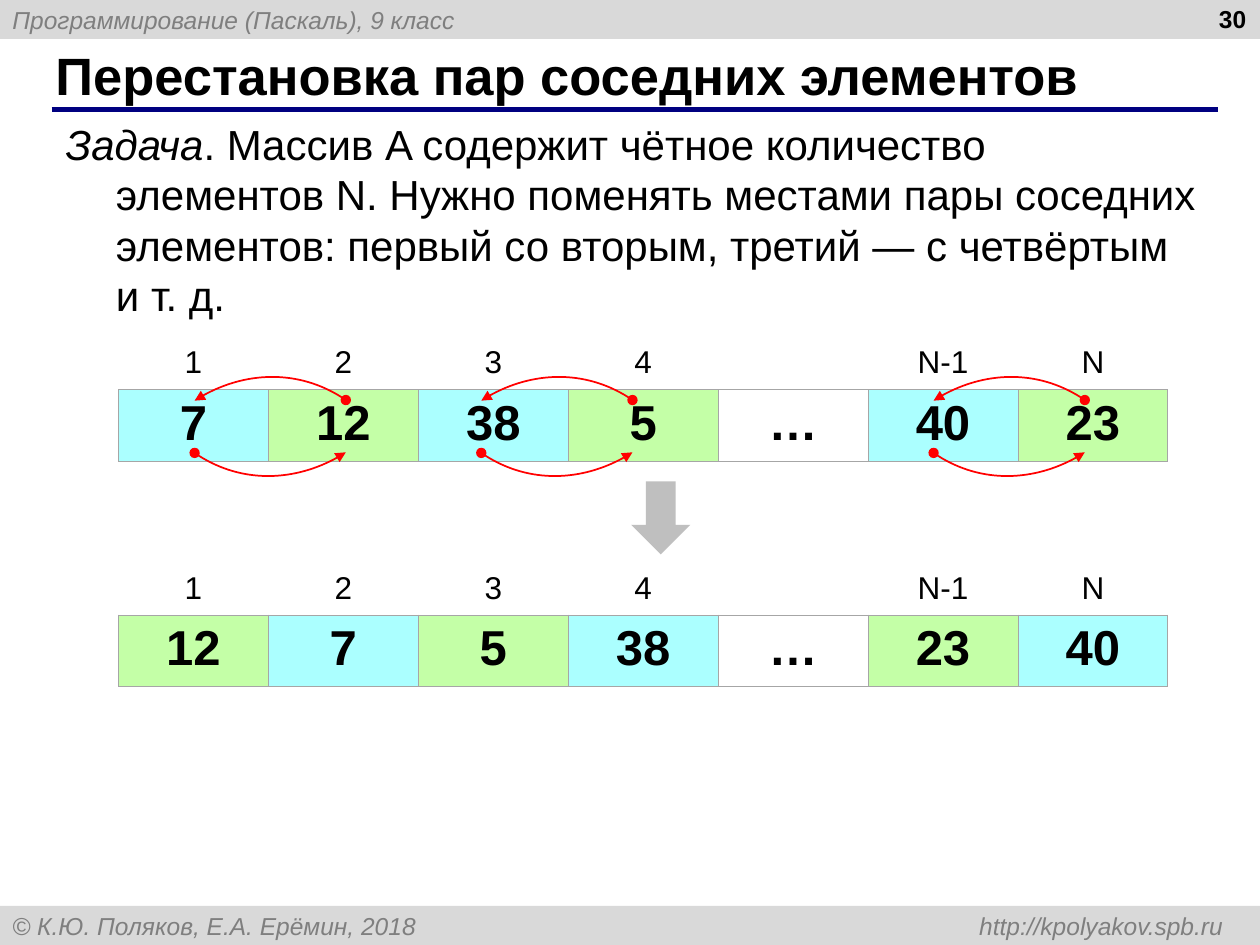
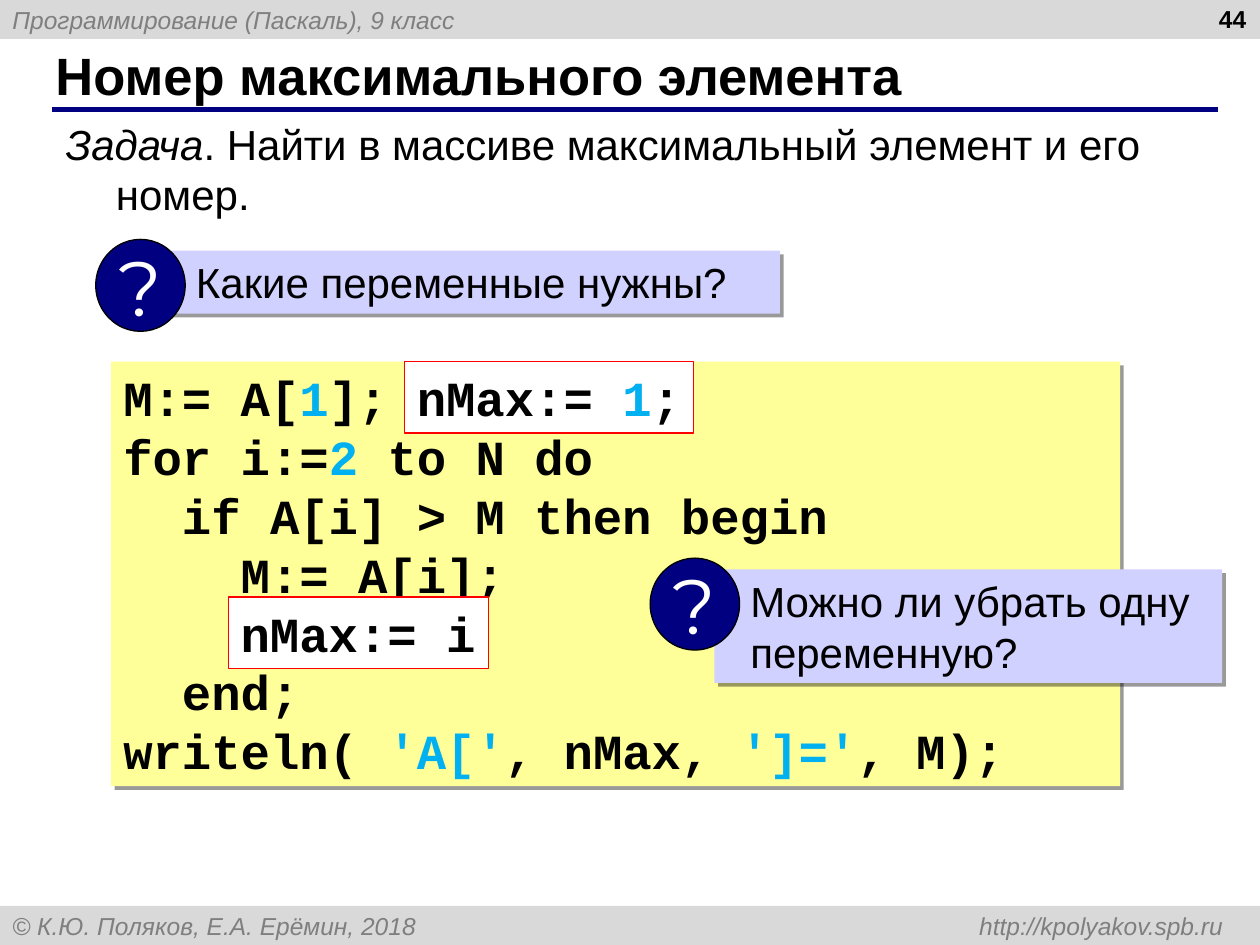
from lxml import etree
from pptx import Presentation
from pptx import util as u
from pptx.dml.color import RGBColor
from pptx.enum import shapes, text
from pptx.oxml import parse_xml
from pptx.oxml.ns import nsdecls, qn

# The slide is a grid of 100 columns by 75 rows; boxes are (left, top, width, height).
CELL = u.Inches(0.1)
COLUMNS, ROWS = 100, 75
COLORS = {
    "black": "000000", "white": "FFFFFF", "band": "D9D9D9", "muted": "7F7F7F",
    "navy": "000080", "question": "D1D1FF", "code": "FFFF99", "literal": "00B0F0",
    "red": "FF0000", "border": "A6A6A6", "arrow": "BFBFBF",
    "odd": "ABFFFF", "even": "C4FFA7",
}
SANS, MONO, ROUND = "Arial", "Courier New", "Montserrat"
BAND = 3.1
CODE_SIZE, CODE_CHAR, CODE_LINE = 28, 2.33, 4.67


def rgb(name):
    return RGBColor.from_string(COLORS[name])


def grid(*lengths):
    return [round(length * CELL) for length in lengths]


def style(run, size, color="black", font=SANS, bold=False, italic=False):
    run.font.size = u.Pt(size)
    run.font.name = font
    run.font.bold = bold
    run.font.italic = italic
    run.font.color.rgb = rgb(color)


def write(frame, content, size, align=text.PP_ALIGN.LEFT, **look):
    frame.text = content
    for paragraph in frame.paragraphs:
        paragraph.alignment = align
        for run in paragraph.runs:
            style(run, size, **look)


def write_code(frame, lines):
    """Write code lines; pieces between bars are literals."""
    frame.text = lines[0]
    for number, line in enumerate(lines):
        paragraph = frame.add_paragraph() if number else frame.paragraphs[0]
        paragraph.clear()
        paragraph.alignment = text.PP_ALIGN.LEFT
        for index, piece in enumerate(line.split("|")):
            run = paragraph.add_run()
            run.text = piece
            style(run, CODE_SIZE, "literal" if index % 2 else "black", MONO, bold=True)


def panel(slide, box, fill, kind=shapes.MSO_SHAPE.RECTANGLE, line=None, shadow=False):
    shape = slide.shapes.add_shape(kind, *grid(*box))
    shape.fill.solid()
    shape.fill.fore_color.rgb = rgb(fill)
    if line:
        shape.line.color.rgb = rgb(line)
        shape.line.width = u.Pt(0.75)
    else:
        shape.line.fill.background()
    shape.shadow.inherit = False
    if shadow:
        shape.element.spPr.find(qn("a:effectLst")).append(parse_xml(
            f'<a:outerShdw {nsdecls("a")} blurRad="0" dist="38100" dir="2700000">'
            f'<a:srgbClr val="{COLORS["black"]}"><a:alpha val="40000"/></a:srgbClr>'
            '</a:outerShdw>'))
    shape.text_frame.vertical_anchor = text.MSO_ANCHOR.TOP
    return shape


def band(slide, top, content):
    strip = panel(slide, (0, top, COLUMNS, BAND), "band")
    strip.text_frame.vertical_anchor = text.MSO_ANCHOR.MIDDLE
    write(strip.text_frame, content, 14, color="muted", italic=True)
    strip.text_frame.paragraphs[0]._p.get_or_add_pPr().append(parse_xml(
        f'<a:tabLst {nsdecls("a")}><a:tab pos="{grid(96.1)[0]}" algn="r"/></a:tabLst>'))
    return strip


def furnish_layout(layout, slide):
    """Draw the bands and the title rule once and hand them to the layout."""
    rule = slide.shapes.add_connector(
        shapes.MSO_CONNECTOR.STRAIGHT, *grid(4.1, 8.7, 96.7, 8.7))
    rule.line.color.rgb = rgb("navy")
    rule.line.width = u.Pt(3)
    etree.SubElement(rule.element.spPr, qn("a:effectLst"))
    header = band(slide, 0, "Программирование (Паскаль), 9 класс")
    footer = band(slide, ROWS - BAND,
                  "© К.Ю. Поляков, Е.А. Ерёмин, 2018\thttp://kpolyakov.spb.ru")
    for part in (header, footer, rule):
        layout.shapes.element.append(part.element)


def task_slide(slide, number, heading, task, task_rows):
    """Fill the title, the slide number and the task statement."""
    title, statement = slide.placeholders
    title.left, title.top, title.width, title.height = grid(3.4, 3.3, 91.6, 5.2)
    title.text_frame.vertical_anchor = text.MSO_ANCHOR.MIDDLE
    write(title.text_frame, heading, 30, bold=True)

    counter = slide.shapes.add_textbox(*grid(76.6, -0.2, 23.3, 5.2)).text_frame
    counter.word_wrap = True
    write(counter, str(number), 14, text.PP_ALIGN.RIGHT, bold=True)

    statement.left, statement.top, statement.width, statement.height = grid(
        4.2, 8.9, 92.1, task_rows)
    statement.text_frame.auto_size = text.MSO_AUTO_SIZE.NONE
    paragraph = statement.text_frame.paragraphs[0]
    properties = paragraph._p.get_or_add_pPr()
    properties.set("marL", str(4 * CELL))
    properties.set("indent", str(-4 * CELL))
    etree.SubElement(properties, qn("a:buNone"))
    paragraph.space_before = u.Pt(0)
    for piece, italic in (("Задача", True), (f". {task}", False)):
        run = paragraph.add_run()
        run.text = piece
        style(run, 24, italic=italic)


def border(cell, sides):
    for side in sides:
        cell._tc.get_or_add_tcPr().append(parse_xml(
            f'<a:ln{side} {nsdecls("a")} w="5715"><a:solidFill>'
            f'<a:srgbClr val="{COLORS["border"]}"/></a:solidFill></a:ln{side}>'))


def array_table(slide, box, values, fills):
    indices = ["1", "2", "3", "4", "", "N-1", "N"]
    table = slide.shapes.add_table(2, len(indices), *grid(*box)).table
    table.first_row = table.horz_banding = False
    for row, height in zip(table.rows, grid(4, 5.7)):
        row.height = height
    for column, (index, value, fill) in enumerate(zip(indices, values, fills)):
        label, item = table.cell(0, column), table.cell(1, column)
        border(label, "B")
        label.fill.background()
        write(label.text_frame, index, 18, text.PP_ALIGN.CENTER)
        border(item, "LRTB")
        if fill:
            item.fill.solid()
            item.fill.fore_color.rgb = rgb(fill)
        else:
            item.fill.background()
        write(item.text_frame, value, 28, text.PP_ALIGN.CENTER, bold=True)


def curved_arrow(slide, points):
    """Draw a Bezier arrow from a start, two control points and an end."""
    start, *rest = [grid(*point) for point in points]
    builder = slide.shapes.build_freeform(*start)
    builder.add_line_segments(rest, close=False)
    arrow = builder.convert_to_shape()
    outline = arrow.element.spPr.find(".//" + qn("a:path"))
    curve = etree.SubElement(outline, qn("a:cubicBezTo"))
    for segment in outline.findall(qn("a:lnTo")):
        curve.append(segment[0])
        outline.remove(segment)
    arrow.fill.background()
    arrow.line.color.rgb = rgb("red")
    arrow.line.width = u.Pt(1)
    arrow.shadow.inherit = False
    for end, kind in (("headEnd", "oval"), ("tailEnd", "triangle")):
        etree.SubElement(arrow.line._ln, qn(f"a:{end}"), type=kind)


def swap_arrows(slide, x, y):
    """Join two neighbours by an arc above and its half-turn below."""
    arc = [(6, -2.1), (2.4, -4.6), (-2.6, -4.3), (-6, -2.05)]
    for turn in (1, -1):
        curved_arrow(slide, [(x + turn * dx, y + turn * dy) for dx, dy in arc])


def swap_diagram(slide, box):
    left, top, width, height = box
    step = 17.9
    array_table(slide, box, ["7", "12", "38", "5", "…", "40", "23"],
                ["odd", "even", "odd", "even", None, "odd", "even"])
    for offset in (12.05, 34.8, 70.7):
        swap_arrows(slide, left + offset, top + 6.95)
    array_table(slide, (left, top + step, width, height),
                ["12", "7", "5", "38", "…", "23", "40"],
                ["even", "odd", "even", "odd", None, "even", "odd"])
    panel(slide, (left + 40.7, top + 11.3, 4.7, 5.8), "arrow",
          shapes.MSO_SHAPE.DOWN_ARROW)


def question(slide, box, content):
    left, top = box[:2]
    frame = panel(slide, box, "question", shadow=True).text_frame
    frame.margin_left = grid(2.85)[0]
    write(frame, content, 24)
    badge = panel(slide, (left - 5.1, top - 0.9, 7.1, 7.3), "navy",
                  shapes.MSO_SHAPE.OVAL, line="black").text_frame
    badge.vertical_anchor = text.MSO_ANCHOR.MIDDLE
    badge.word_wrap = False
    write(badge, "?", 44, text.PP_ALIGN.CENTER, color="white", font=ROUND)


def code_block(slide, box, lines, highlights):
    """Show code and frame the (line, column, code) highlights over it."""
    left, top = box[:2]
    listing = panel(slide, box, "code", shadow=True).text_frame
    listing.margin_right = 0
    write_code(listing, lines)
    for line, column, code in highlights:
        width = len(code.replace("|", "")) * CODE_CHAR + 2
        frame = panel(slide, (left + column * CODE_CHAR, top + line * CODE_LINE,
                              width, CODE_LINE + 1), "white", line="red").text_frame
        frame.word_wrap = False
        write_code(frame, [code])


def main():
    deck = Presentation()
    deck.slide_width, deck.slide_height = grid(COLUMNS, ROWS)
    layout = deck.slide_layouts[1]

    swap = deck.slides.add_slide(layout)
    furnish_layout(layout, swap)
    task_slide(swap, 30, "Перестановка пар соседних элементов",
               "Массив A содержит чётное количество элементов N. Нужно поменять "
               "местами пары соседних элементов: первый со вторым, третий — "
               "с четвёртым и т. д.", 17)
    swap_diagram(swap, (9.4, 26.9, 83.3, 9.7))

    maximum = deck.slides.add_slide(layout)
    task_slide(maximum, 44, "Номер максимального элемента",
               "Найти в массиве максимальный элемент и его номер.", 9)
    question(maximum, (12.7, 19.9, 49.2, 5), "Какие переменные нужны?")
    code_block(maximum, (8.8, 28.7, 80.1, 33.7), [
        "M:= A[|1|]; nMax:= |1|;",
        "for i:=|2 |to N do",
        "  if A[i] > M then begin",
        "    M:= A[i];",
        "    nMax:= i",
        "  end;",
        "writeln( |'A['|, nMax, |']='|, M);",
    ], [(0, 10, "nMax:= |1|;"), (4, 4, "nMax:= i")])
    question(maximum, (56.7, 45.2, 40.3, 9), "Можно ли убрать одну\vпеременную?")

    deck.save("out.pptx")


if __name__ == "__main__":
    main()
